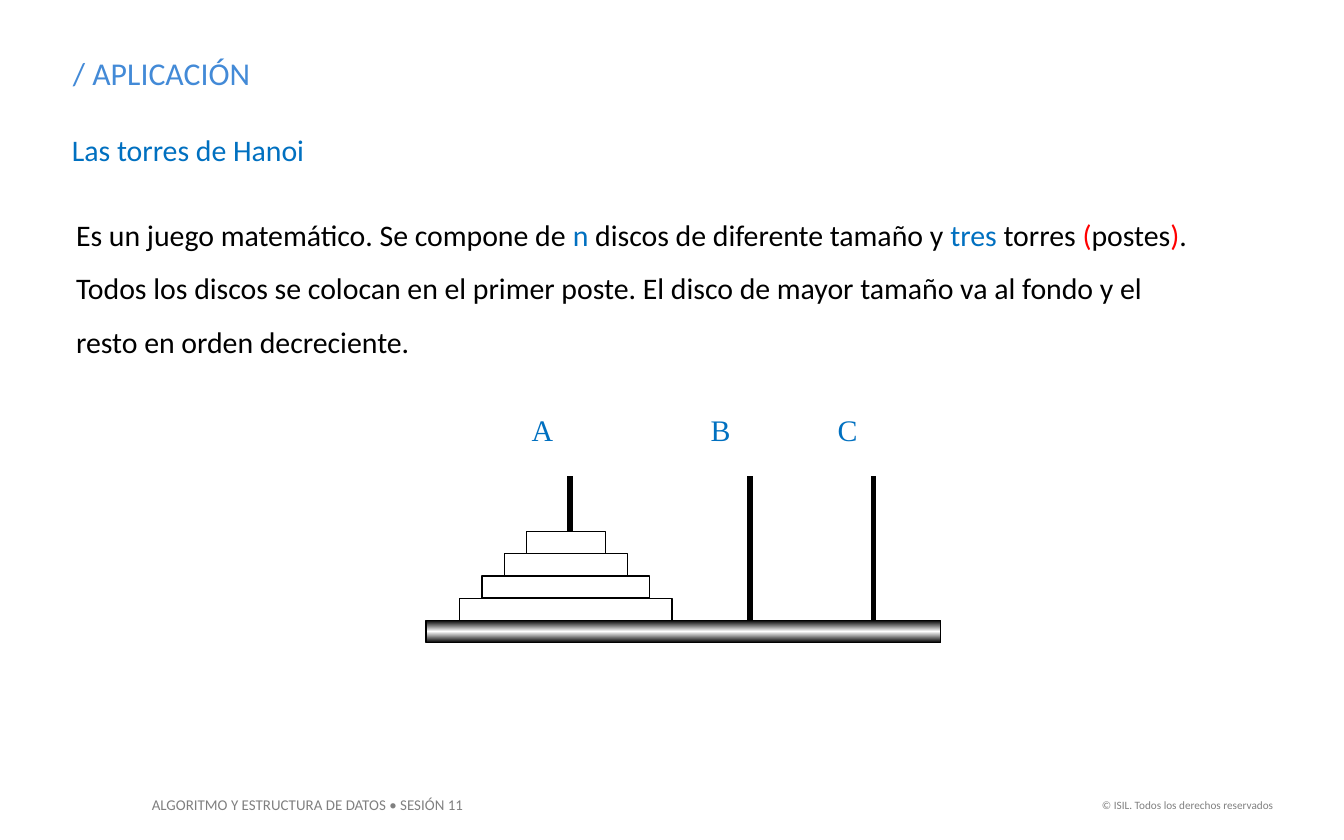
import copy
import dataclasses

import pptx
import pptx.dml.color
import pptx.enum.shapes
import pptx.enum.text
import pptx.oxml.ns
import pptx.oxml.xmlchemy
import pptx.util
from lxml import etree

Cm = pptx.util.Cm
Pt = pptx.util.Pt
qn = pptx.oxml.ns.qn
ALIGN = pptx.enum.text.PP_ALIGN


@dataclasses.dataclass(frozen=True)
class Theme:
    sans: str = "Calibri"
    serif: str = "Times New Roman"
    black: str = "000000"
    white: str = "FFFFFF"
    grey: str = "808080"
    sky: str = "438AD7"
    blue: str = "0070C0"
    red: str = "FF0000"
    title: int = 17
    body: int = 16
    footer: int = 8
    rights: int = 6
    outline: float = 0.75
    pole: int = 3


@dataclasses.dataclass(frozen=True)
class Box:
    """A region of the slide, in centimetres."""
    left: float
    top: float
    width: float
    height: float

    def place(self):
        return Cm(self.left), Cm(self.top), Cm(self.width), Cm(self.height)


THEME = Theme()


def rgb(color):
    return pptx.dml.color.RGBColor.from_string(color)


def add_text(page, box, runs, size, face=THEME.sans, align=ALIGN.LEFT, inset=True):
    """Write one paragraph of (text, colour) runs and return it."""
    frame = page.shapes.add_textbox(*box.place()).text_frame
    frame.word_wrap = True
    if not inset:
        frame.margin_left = frame.margin_top = frame.margin_right = frame.margin_bottom = 0
    para = frame.paragraphs[0]
    para.alignment = align
    for text, color in runs:
        span = para.add_run()
        span.text = text
        span.font.name = face
        span.font.size = Pt(size)
        span.font.color.rgb = rgb(color)
    return para


def add_heading(page, box):
    add_text(page, Box(box.left, box.top, box.width, 0.99),
             [("/ APLICACIÓN", THEME.sky)], THEME.title)
    add_text(page, Box(box.left + 0.23, box.top + 1.6, 5.51, 0.69),
             [("Las torres de Hanoi", THEME.blue)], THEME.body, inset=False)


def add_description(page, box):
    runs = [
        ("Es un juego matemático. Se compone de ", THEME.black),
        ("n", THEME.blue),
        (" discos de diferente tamaño y ", THEME.black),
        ("tres", THEME.blue),
        (" torres ", THEME.black),
        ("(", THEME.red),
        ("postes", THEME.black),
        (")", THEME.red),
        (". Todos los discos se colocan en el primer poste. El disco de mayor "
         "tamaño va al fondo y el resto en orden decreciente.", THEME.black),
    ]
    add_text(page, box, runs, THEME.body).line_spacing = 1.5


def add_pole_labels(page, box, stops):
    """Name the poles, with the second and third names at the tab stops."""
    para = add_text(page, box, [("A\tB\tC", THEME.blue)], THEME.body, THEME.serif)
    tabs = etree.SubElement(para._p.get_or_add_pPr(), qn("a:tabLst"))
    for stop in stops:
        etree.SubElement(tabs, qn("a:tab"), pos=str(Cm(stop)), algn="l")


def add_bar(page, box):
    bar = page.shapes.add_shape(pptx.enum.shapes.MSO_SHAPE.RECTANGLE, *box.place())
    bar.shadow.inherit = False
    bar.fill.solid()
    bar.fill.fore_color.rgb = rgb(THEME.white)
    bar.line.color.rgb = rgb(THEME.black)
    bar.line.width = Pt(THEME.outline)
    return bar


def shade_bar(bar):
    """Shade the bar from dark edges to a light middle."""
    bar.fill.gradient()
    bar.fill.gradient_angle = 90
    stop_list = bar._element.spPr.find(".//" + qn("a:gsLst"))
    stop_list.insert(1, copy.deepcopy(stop_list[0]))
    colors = (THEME.black, THEME.white, THEME.black)
    for index, (stop, color) in enumerate(zip(bar.fill.gradient_stops, colors)):
        stop.position = index / 2
        stop.color.rgb = rgb(color)


def add_pole(page, x, top, bottom):
    pole = page.shapes.add_connector(
        pptx.enum.shapes.MSO_CONNECTOR.STRAIGHT, Cm(x), Cm(top), Cm(x), Cm(bottom))
    pole.line.color.rgb = rgb(THEME.black)
    pole.line.width = Pt(THEME.pole)
    etree.SubElement(pole._element.spPr, qn("a:effectLst"))


def add_towers(page, box):
    thickness = 0.42
    floor = box.top + box.height - thickness
    for offset in (2.72, 6.12, 8.46):
        add_pole(page, box.left + offset, box.top + 1.35, floor)
    shade_bar(add_bar(page, Box(box.left, floor, box.width, thickness)))
    for level in range(4):
        inset = thickness * level
        add_bar(page, Box(box.left + 0.64 + inset, floor - thickness * (level + 1),
                          4.01 - 2 * inset, thickness))
    add_pole_labels(page, Box(box.left + 1.75, box.top, 7.82, 0.94), (3.38, 5.78))


def add_footer(page, box):
    add_text(page, Box(box.left, box.top, 7, 0.61),
             [("ALGORITMO Y ESTRUCTURA DE DATOS • SESIÓN 11", THEME.grey)], THEME.footer)
    add_text(page, Box(box.left + box.width - 5, box.top + 0.05, 5, 0.51),
             [("© ISIL. Todos los derechos reservados", THEME.grey)],
             THEME.rights, align=ALIGN.RIGHT)


def main():
    deck = pptx.Presentation()
    deck.slide_width, deck.slide_height = Cm(25.4), Cm(15.88)
    page = deck.slides.add_slide(deck.slide_layouts[6])
    add_footer(page, Box(2.62, 14.91, 21.69, 0.61))
    add_heading(page, Box(1.13, 0.89, 20.02, 2.29))
    add_description(page, Box(1.19, 3.63, 21.95, 3.33))
    add_towers(page, Box(8.05, 7.65, 9.73, 4.5))
    deck.save("out.pptx")


if __name__ == "__main__":
    main()
